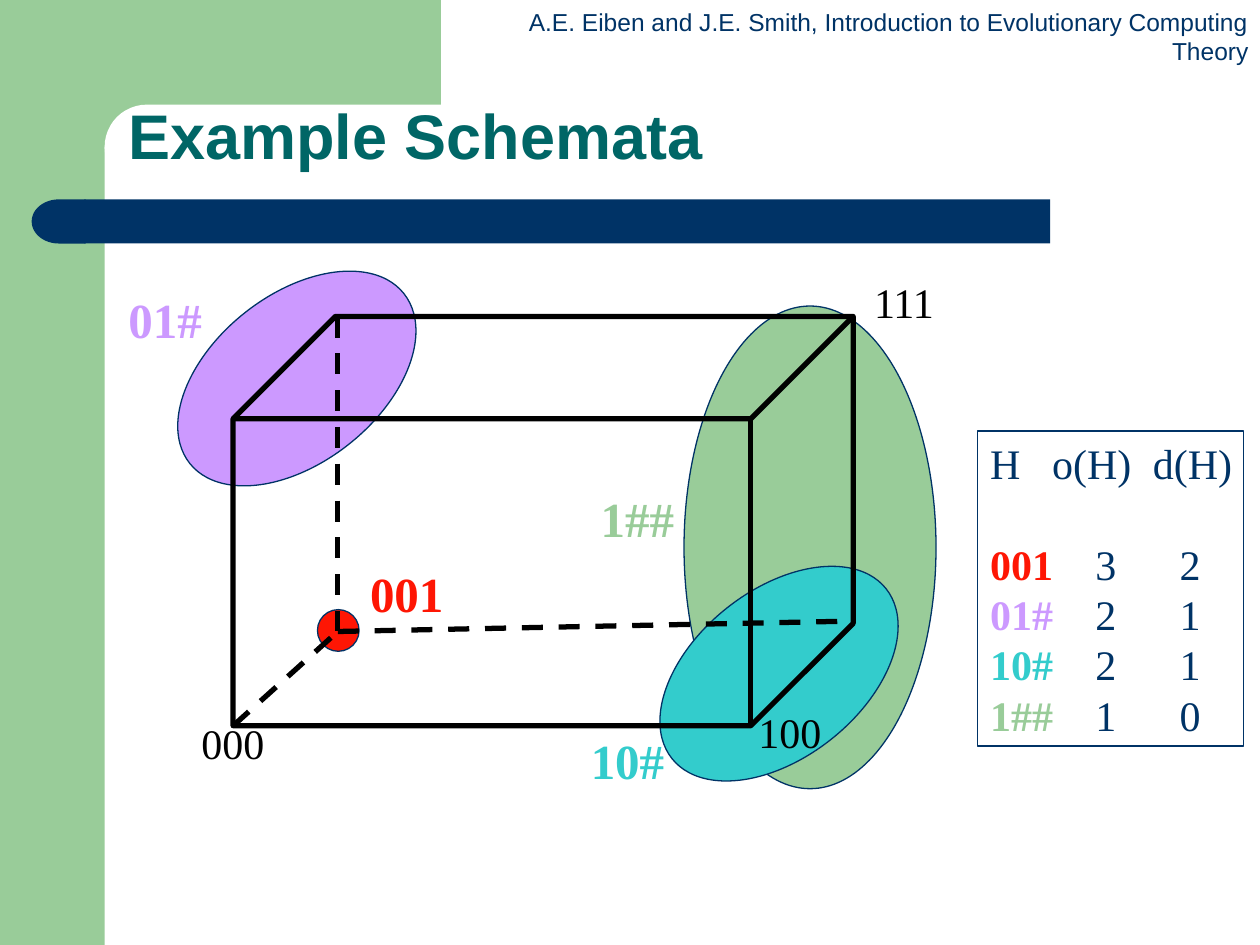
from lxml.etree import SubElement
from pptx import Presentation
from pptx.dml.color import RGBColor
from pptx.enum.dml import MSO_LINE
from pptx.enum.shapes import MSO_CONNECTOR, MSO_SHAPE
from pptx.enum.text import MSO_ANCHOR, PP_ALIGN
from pptx.oxml.ns import qn
from pptx.util import Cm, Pt

NAVY = RGBColor(0x00, 0x33, 0x66)
TEAL = RGBColor(0x00, 0x66, 0x66)
GREEN = RGBColor(0x99, 0xCC, 0x99)
CYAN = RGBColor(0x33, 0xCC, 0xCC)
RED = RGBColor(0xFE, 0x16, 0x04)
PURPLE = RGBColor(0xCC, 0x99, 0xFF)
BLACK = RGBColor(0x00, 0x00, 0x00)
WHITE = RGBColor(0xFF, 0xFF, 0xFF)
SERIF = "Times New Roman"

prs = Presentation()
prs.slide_width, prs.slide_height = Cm(25.4), Cm(19.05)
s = prs.slides.add_slide(prs.slide_layouts[6])


def add_shape(kind, x, y, w, h, fill=None, line=None, width=0.75):
    sp = s.shapes.add_shape(kind, Cm(x), Cm(y), Cm(w), Cm(h))
    sp.shadow.inherit = False
    if fill is None:
        sp.fill.background()
    else:
        sp.fill.solid()
        sp.fill.fore_color.rgb = fill
    if line is None:
        sp.line.fill.background()
    else:
        sp.line.color.rgb = line
        sp.line.width = Pt(width)
    return sp


def add_run(p, text, size, color, bold=False, font=SERIF):
    r = p.add_run()
    r.text = text
    r.font.name, r.font.size, r.font.bold = font, Pt(size), bold
    r.font.color.rgb = color


# Background bands, with a white rounded corner cut into them
add_shape(MSO_SHAPE.RECTANGLE, 0, 0, 2.11, 19.05, GREEN)
add_shape(MSO_SHAPE.RECTANGLE, 1.9, 0, 6.99, 2.96, GREEN)
sp = add_shape(MSO_SHAPE.ROUNDED_RECTANGLE, 2.11, 2.11, 14.18, 1.7, WHITE)
sp.adjustments[0] = 0.5

# Title bar with a rounded left end
add_shape(MSO_SHAPE.RECTANGLE, 1.7, 4.02, 19.47, 0.89, NAVY)
sp = add_shape(MSO_SHAPE.FLOWCHART_DELAY, 0.64, 4.02, 1.09, 0.89, NAVY)
sp._element.spPr.get_or_add_xfrm().set("flipH", "1")

# Source line
tf = s.shapes.add_textbox(Cm(10.41), Cm(0), Cm(15.01), Cm(1.45)).text_frame
tf.word_wrap = False
for i, text in enumerate([
        "A.E. Eiben and J.E. Smith, Introduction to Evolutionary Computing",
        "Theory"]):
    p = tf.add_paragraph() if i else tf.paragraphs[0]
    p.alignment = PP_ALIGN.RIGHT
    p.line_spacing = Pt(17)
    add_run(p, text, 14, NAVY, font="Arial")

# Title
tf = s.shapes.add_textbox(Cm(2.34), Cm(2.34), Cm(22.23), Cm(1.27)).text_frame
tf.word_wrap = True
tf.vertical_anchor = MSO_ANCHOR.BOTTOM
p = tf.paragraphs[0]
p.line_spacing = 0.9
add_run(p, "Example Schemata", 36, TEAL, True, "Arial")

# Schema regions
for x, y, w, h, angle, color in [
        (13.79, 6.17, 5.08, 9.73, 0, GREEN),
        (12.95, 11.89, 5.51, 3.38, 321.6, CYAN),
        (6.4, 12.29, 0.84, 0.84, 0, RED),
        (3.23, 5.94, 5.51, 3.38, 321.6, PURPLE)]:
    sp = add_shape(MSO_SHAPE.OVAL, x, y, w, h, color, NAVY)
    sp.rotation = angle

# Cube and its hidden edges, which meet at corner 001
sp = add_shape(MSO_SHAPE.CUBE, 4.7, 6.38, 12.5, 8.25, None, BLACK, 3)
sp.adjustments[0] = 0.25
for x1, y1, x2, y2 in [(6.81, 6.38, 6.81, 12.73),
                       (4.7, 14.63, 6.81, 12.73),
                       (6.81, 12.73, 17.2, 12.52)]:
    c = s.shapes.add_connector(MSO_CONNECTOR.STRAIGHT,
                               Cm(x1), Cm(y1), Cm(x2), Cm(y2))
    c.line.color.rgb = BLACK
    c.line.width = Pt(3)
    c.line.dash_style = MSO_LINE.DASH
    SubElement(c._element.spPr, qn("a:effectLst"))

# Corner labels (24 pt) and schema labels (28 pt bold)
for text, x, y, size, color in [
        ("111", 17.37, 5.44, 24, BLACK),
        ("000", 3.81, 14.33, 24, BLACK),
        ("100", 15.04, 14.12, 24, BLACK),
        ("1##", 11.86, 9.73, 28, GREEN),
        ("01#", 2.34, 5.72, 28, PURPLE),
        ("001", 7.21, 11.23, 28, RED),
        ("10#", 11.66, 14.61, 28, CYAN)]:
    w, h = (1.78, 1.27) if size == 24 else (1.98, 1.45)
    tf = s.shapes.add_textbox(Cm(x), Cm(y), Cm(w), Cm(h)).text_frame
    tf.word_wrap = False
    p = tf.paragraphs[0]
    p.line_spacing = Pt(size * 1.2)
    add_run(p, text, size, color, size == 28)

# Order and defining length of each schema, in tabbed columns
sp = add_shape(MSO_SHAPE.RECTANGLE, 19.71, 8.69, 5.36, 6.35, None, NAVY)
tf = sp.text_frame
tf.word_wrap = False
tf.vertical_anchor = MSO_ANCHOR.TOP
for i, (schema, order, length, color) in enumerate([
        ("H", "o(H)", "d(H)", NAVY),
        ("001", "3", "2", RED),
        ("01#", "2", "1", PURPLE),
        ("10#", "2", "1", CYAN),
        ("1##", "1", "0", GREEN)]):
    p = tf.add_paragraph() if i else tf.paragraphs[0]
    p.alignment = PP_ALIGN.LEFT
    p.line_spacing = Pt(28.8)
    if i == 0:
        p.space_after = Pt(28.8)
    tabs = SubElement(p._p.get_or_add_pPr(), qn("a:tabLst"))
    for pos in (2.12, 3.82) if i else (1.25, 3.28):
        SubElement(tabs, qn("a:tab"), pos=str(Cm(pos)), algn="l")
    add_run(p, schema, 24, color, i > 0)
    add_run(p, f"\t{order}\t{length}", 24, NAVY)

prs.save("out.pptx")
